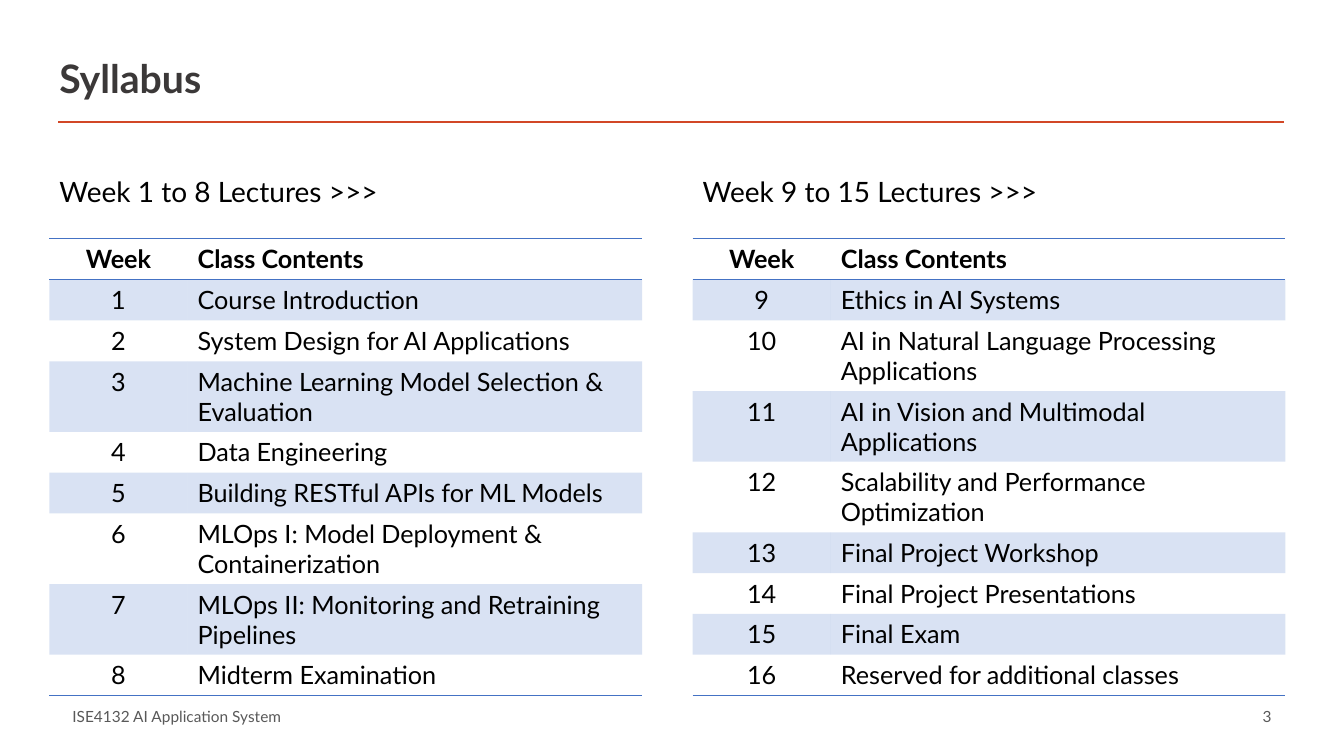
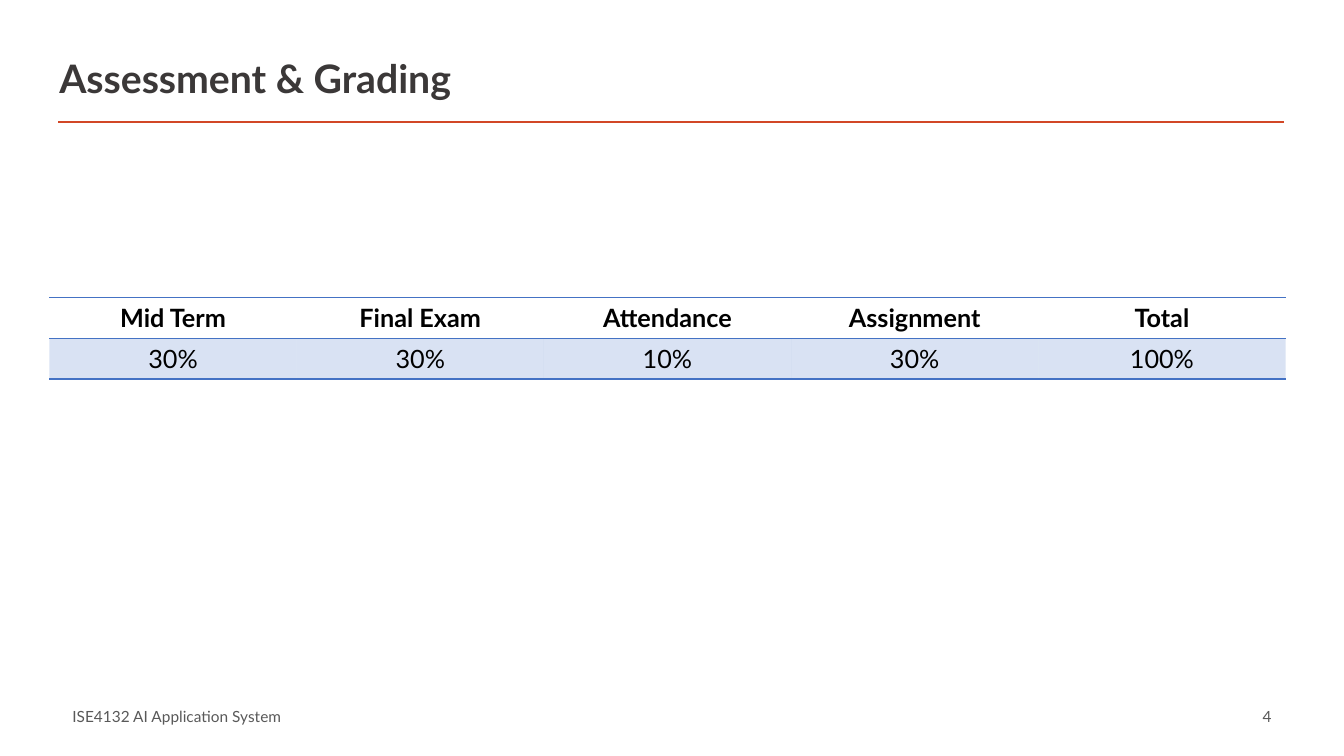
from lxml import etree
from pptx import Presentation
from pptx.dml.color import RGBColor
from pptx.enum.shapes import MSO_CONNECTOR
from pptx.enum.text import MSO_ANCHOR, PP_ALIGN
from pptx.oxml.ns import qn
from pptx.util import Inches, Pt

LINE = MSO_CONNECTOR.STRAIGHT
MIDDLE = MSO_ANCHOR.MIDDLE
LEFT, CENTER, RIGHT = PP_ALIGN.LEFT, PP_ALIGN.CENTER, PP_ALIGN.RIGHT

# Content
COURSE = "ISE4132 AI Application System"
FIRST_PAGE = 3
HEAD = ("Week", "Class Contents")
LECTURES = [
    ("Week 1 to 8 Lectures >>>", 1, [
        "Course Introduction",
        "System Design for AI Applications",
        "Machine Learning Model Selection & Evaluation",
        "Data Engineering",
        "Building RESTful APIs for ML Models",
        "MLOps I: Model Deployment & Containerization",
        "MLOps II: Monitoring and Retraining Pipelines",
        "Midterm Examination",
    ]),
    ("Week 9 to 15 Lectures >>>", 9, [
        "Ethics in AI Systems",
        "AI in Natural Language Processing Applications",
        "AI in Vision and Multimodal Applications",
        "Scalability and Performance Optimization",
        "Final Project Workshop",
        "Final Project Presentations",
        "Final Exam",
        "Reserved for additional classes",
    ]),
]
GRADES = [
    ("Mid Term", "Final Exam", "Attendance", "Assignment", "Total"),
    ("30%", "30%", "10%", "30%", "100%"),
]

# Style
FONT = "Lato"
COLORS = {"title": "3B3838", "rule": "D24726", "text": "000000",
          "footer": "595959", "table": "4472C4"}
BAND_ALPHA = 20
PLAIN_TABLE = "{2D5ABB26-0587-4C30-8999-92F81FD0307C}"

# Layout
MARGIN, WIDTH, GAP = Inches(0.49), Inches(12.26), Inches(0.5)
HALF = (WIDTH - GAP) // 2
WEEK_COL = Inches(1.37)
ROW = Inches(0.81) // 2
BAR = Inches(0.61)
RULE_Y = Inches(1.21)
FOOT_Y, FOOT_H = Inches(7.03), Inches(0.15)


def color(name):
    return RGBColor.from_string(COLORS[name])


def style(par, size, tone="text", bold=False, align=LEFT):
    par.alignment = align
    font = par.font
    font.name, font.size, font.bold = FONT, Pt(size), bold
    font.color.rgb = color(tone)


def add_text(slide, text, left, top, width, height, size, **look):
    frame = slide.shapes.add_textbox(left, top, width, height).text_frame
    frame.word_wrap = True
    frame.vertical_anchor = MIDDLE
    frame.text = text
    style(frame.paragraphs[0], size, **look)


def add_border(cell, side):
    line = etree.Element(qn(f"a:ln{side}"), w=str(Pt(1)))
    fill = etree.SubElement(line, qn("a:solidFill"))
    etree.SubElement(fill, qn("a:srgbClr"), val=COLORS["table"])
    cell._tc.get_or_add_tcPr().insert(0, line)


def add_band(cell):
    cell.fill.solid()
    cell.fill.fore_color.rgb = color("table")
    tint = cell._tc.tcPr.find(f"{qn('a:solidFill')}/{qn('a:srgbClr')}")
    etree.SubElement(tint, qn("a:alpha"), val=str(BAND_ALPHA * 1000))


def add_table(slide, rows, left, top, widths, aligns):
    shape = slide.shapes.add_table(len(rows), len(widths), left, top,
                                   sum(widths), ROW * len(rows))
    table = shape.table
    next(shape.element.iter(qn("a:tableStyleId"))).text = PLAIN_TABLE
    for col, width in zip(table.columns, widths):
        col.width = width
    for i, row in enumerate(rows):
        table.rows[i].height = ROW
        for j, text in enumerate(row):
            cell = table.cell(i, j)
            cell.text = text
            style(cell.text_frame.paragraphs[0], 18, bold=i == 0,
                  align=aligns[j])
            if i % 2:
                add_band(cell)
            else:
                cell.fill.background()
            if i in (0, len(rows) - 1):
                add_border(cell, "B")
            if i == 0:
                add_border(cell, "T")


def add_slide(prs, title):
    slide = prs.slides.add_slide(prs.slide_layouts[6])
    # Title and rule
    rule = slide.shapes.add_connector(LINE, Inches(0.58), RULE_Y,
                                      Inches(12.74), RULE_Y)
    rule.line.color.rgb = color("rule")
    rule.line.width = Pt(2)
    etree.SubElement(rule.element.spPr, qn("a:effectLst"))
    add_text(slide, title, MARGIN, Inches(0.47), WIDTH, BAR, 28,
             tone="title", bold=True)
    # Footer
    page = str(FIRST_PAGE + len(prs.slides) - 1)
    add_text(slide, COURSE, Inches(0.62), FOOT_Y, Inches(3.17), FOOT_H, 11,
             tone="footer")
    add_text(slide, page, Inches(9.13), FOOT_Y, Inches(3.58), FOOT_H, 11,
             tone="footer", align=RIGHT)
    return slide


def main():
    prs = Presentation()
    prs.slide_width, prs.slide_height = Inches(13.33), Inches(7.5)

    # Syllabus: two halves
    slide = add_slide(prs, "Syllabus")
    for k, (label, first, topics) in enumerate(LECTURES):
        left = MARGIN + k * (HALF + GAP)
        rows = [HEAD] + [(str(n), t) for n, t in enumerate(topics, first)]
        add_text(slide, label, left, Inches(1.59), HALF, BAR, 20)
        add_table(slide, rows, left, Inches(2.37),
                  [WEEK_COL, HALF - WEEK_COL], [CENTER, LEFT])

    # Grading: equal columns
    slide = add_slide(prs, "Assessment & Grading")
    count = len(GRADES[0])
    add_table(slide, GRADES, MARGIN, Inches(2.95),
              [WIDTH // count] * count, [CENTER] * count)

    prs.save("out.pptx")


if __name__ == "__main__":
    main()
